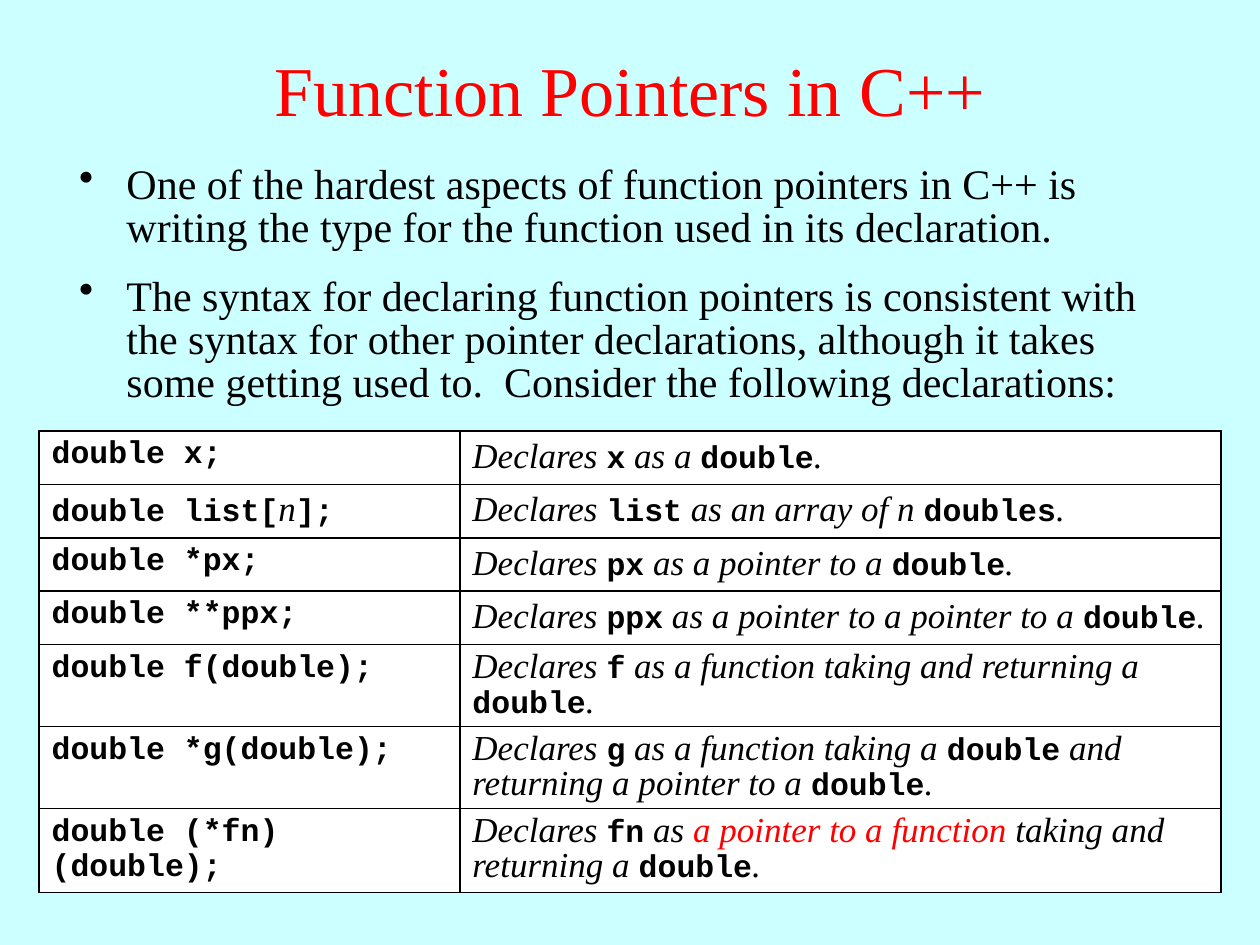
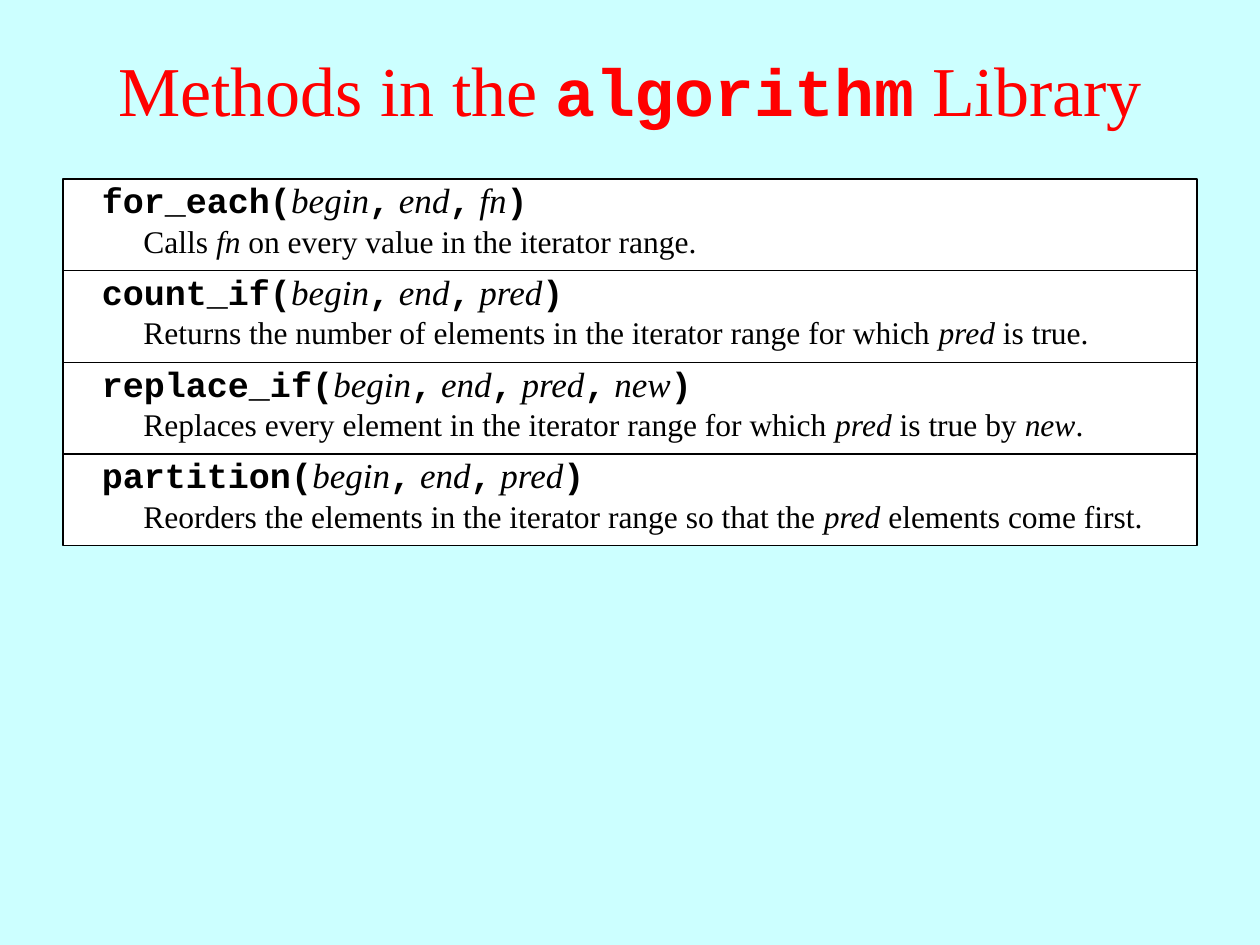
from typing import NamedTuple

from lxml.etree import SubElement
from pptx import Presentation
from pptx.dml.color import RGBColor
from pptx.enum.shapes import MSO_CONNECTOR as Connector, MSO_SHAPE as Shape
from pptx.enum.text import MSO_ANCHOR as Anchor, MSO_AUTO_SIZE as AutoSize, PP_ALIGN as Align
from pptx.oxml import parse_xml
from pptx.oxml.ns import nsdecls, qn
from pptx.util import Inches, Pt

COLORS = {"background": "CCFFFF", "title": "FF0000", "accent": "FF0000",
          "text": "000000", "line": "000000", "panel": "FFFFFF"}
SERIF, MONO = "Times New Roman", "Courier New"

# Each slide is a grid of 100 columns by 75 rows.
COLUMNS, ROWS, CELL = 100, 75, 0.1

# Inline marks: each one switches a run format on and off.
ITALIC = {"font": SERIF, "bold": False, "italic": True, "size": 20}


def code(size):
    return {"font": MONO, "bold": True, "italic": False, "size": size}


class Box(NamedTuple):
    left: float
    top: float
    width: float
    height: float

    def inner(self, left, top, width, height):
        return Box(self.left + left, self.top + top, width, height)

    def lengths(self):
        return [units(value) for value in self]


TITLE_BOX = Box(0, 0.8, COLUMNS, 12.5)
BULLET_BOX = Box(5.3, 12.6, 88.9, 21.1)
DECLARATION_BOX = Box(3.1, 34.2, 93.8, 36.3)
METHOD_BOX = Box(5, 14.2, 90, 29.1)

BULLETS = [
    "One of the hardest aspects of function pointers in C++ is writing the type "
    "for the function used in its declaration.",
    "The syntax for declaring function pointers is consistent with the syntax for "
    "other pointer declarations, although it takes some getting used to.  Consider "
    "the following declarations:",
]

DECLARATIONS = [
    ("double x;", "Declares `x` as a `double`."),
    ("double list[~n~];", "Declares `list` as an array of n `doubles`."),
    ("double *px;", "Declares `px` as a pointer to a `double`."),
    ("double **ppx;", "Declares `ppx` as a pointer to a pointer to a `double`."),
    ("double f(double);", "Declares `f` as a function taking and returning a `double`."),
    ("double *g(double);", "Declares `g` as a function taking a `double` and "
                           "returning a pointer to a `double`."),
    ("double (*fn)(double);", "Declares `fn` as ~a pointer to a function~ taking and "
                              "returning a `double`."),
]
SINGLE_LINE_ROWS = 4

METHODS = [
    ("for_each", ["begin", "end", "fn"],
     "Calls ~fn~ on every value in the iterator range."),
    ("count_if", ["begin", "end", "pred"],
     "Returns the number of elements in the iterator range for which ~pred~ is true."),
    ("replace_if", ["begin", "end", "pred", "new"],
     "Replaces every element in the iterator range for which ~pred~ is true by ~new~."),
    ("partition", ["begin", "end", "pred"],
     "Reorders the elements in the iterator range so that the ~pred~ elements come first."),
]


def units(value):
    return Inches(value * CELL)


def rgb(name):
    return RGBColor.from_string(COLORS[name])


def split_runs(text, marks):
    """Yield (text, mark) pairs, the mark being None for plain text."""
    run, active = "", None
    for character in text:
        if character in marks:
            if run:
                yield run, active
            run, active = "", None if active else character
        else:
            run += character
    if run:
        yield run, active


def write(frame, text, marks=None, align=Align.LEFT, spacing=None, bullet=False, **style):
    """Fill the first paragraph of a frame with marked-up text."""
    marks = marks or {}
    paragraph = frame.paragraphs[0]
    paragraph.alignment = align
    if spacing:
        paragraph.line_spacing = spacing
    if bullet:
        properties = paragraph._p.get_or_add_pPr()
        properties.set("marL", str(units(3.75)))
        properties.set("indent", str(-units(3.75)))
        SubElement(properties, qn("a:buChar")).set("char", "•")
    base = {"font": SERIF, "size": 20, "bold": False, "italic": False, "color": "text"}
    for run_text, mark in split_runs(text, marks):
        look = {**base, **style, **marks.get(mark, {})}
        run = paragraph.add_run()
        run.text = run_text
        run.font.name = look["font"]
        run.font.size = Pt(look["size"])
        run.font.bold = look["bold"]
        run.font.italic = look["italic"]
        run.font.color.rgb = rgb(look["color"])


def add_text(slide, box, text, anchor=Anchor.TOP, grow=False, **style):
    frame = slide.shapes.add_textbox(*box.lengths()).text_frame
    frame.word_wrap = True
    frame.vertical_anchor = anchor
    frame.auto_size = AutoSize.SHAPE_TO_FIT_TEXT if grow else AutoSize.NONE
    write(frame, text, **style)


def add_slide(presentation, title):
    slide = presentation.slides.add_slide(presentation.slide_layouts[6])
    slide.background.fill.solid()
    slide.background.fill.fore_color.rgb = rgb("background")
    add_text(slide, TITLE_BOX, title, anchor=Anchor.MIDDLE, align=Align.CENTER,
             size=40, color="title", marks={"`": code(38)})
    return slide


def add_bullets(slide, box):
    for text, top, height in zip(BULLETS, (0, 8.9), (8.8, 12.2)):
        add_text(slide, box.inner(0, top, box.width, height), text,
                 size=24, spacing=0.85, bullet=True)


def style_cell(cell):
    cell.fill.solid()
    cell.fill.fore_color.rgb = rgb("panel")
    properties = cell._tc.get_or_add_tcPr()
    for position, side in enumerate("LRTB"):
        properties.insert(position, parse_xml(
            f'<a:ln{side} {nsdecls("a")} w="{Pt(1)}"><a:solidFill>'
            f'<a:srgbClr val="{COLORS["line"]}"/></a:solidFill></a:ln{side}>'))


def add_declarations(slide, box):
    table = slide.shapes.add_table(len(DECLARATIONS), 2, *box.lengths()).table
    table.first_row = table.horz_banding = False
    table.columns[0].width = units(33.4)
    table.columns[1].width = units(box.width - 33.4)
    explanation_marks = {"`": code(18), "~": {"color": "accent"}}
    for index, (declaration, explanation) in enumerate(DECLARATIONS):
        single = index < SINGLE_LINE_ROWS
        table.rows[index].height = units(4.24 if single else 6.5)
        left, right = table.rows[index].cells
        write(left.text_frame, declaration, marks={"~": ITALIC}, **code(18))
        write(right.text_frame, explanation, marks=explanation_marks,
              spacing=None if single else 0.85, **ITALIC)
        style_cell(left)
        style_cell(right)


def add_divider(slide, box, top):
    left, right, level = units(box.left), units(box.left + box.width), units(box.top + top)
    divider = slide.shapes.add_connector(Connector.STRAIGHT, left, level, right, level)
    divider.line.color.rgb = rgb("line")
    divider.line.width = Pt(0.75)
    SubElement(divider._element.spPr, qn("a:effectLst"))


def add_methods(slide, box):
    panel = slide.shapes.add_shape(Shape.RECTANGLE, *box.lengths())
    panel.shadow.inherit = False
    panel.fill.solid()
    panel.fill.fore_color.rgb = rgb("panel")
    panel.line.color.rgb = rgb("line")
    panel.line.width = Pt(0.75)

    pitch = box.height / len(METHODS)
    for index, (name, parameters, description) in enumerate(METHODS):
        top = index * pitch
        if index:
            add_divider(slide, box, top)
        signature = f"`{name}(`~" + "~`,` ~".join(parameters) + "~`)`"
        add_text(slide, box.inner(2.1, top - 0.5, 85.8, 4.3), signature, grow=True,
                 marks={"`": code(20), "~": ITALIC})
        add_text(slide, box.inner(5.4, top + 2.9, 83.3, 4), description, grow=True,
                 size=18, marks={"~": {"italic": True}})


def main():
    presentation = Presentation()
    presentation.slide_width = units(COLUMNS)
    presentation.slide_height = units(ROWS)

    # Function pointer declarations
    slide = add_slide(presentation, "Function Pointers in C++")
    add_bullets(slide, BULLET_BOX)
    add_declarations(slide, DECLARATION_BOX)

    # Library methods
    slide = add_slide(presentation, "Methods in the `algorithm` Library")
    add_methods(slide, METHOD_BOX)

    presentation.save("out.pptx")


if __name__ == "__main__":
    main()
